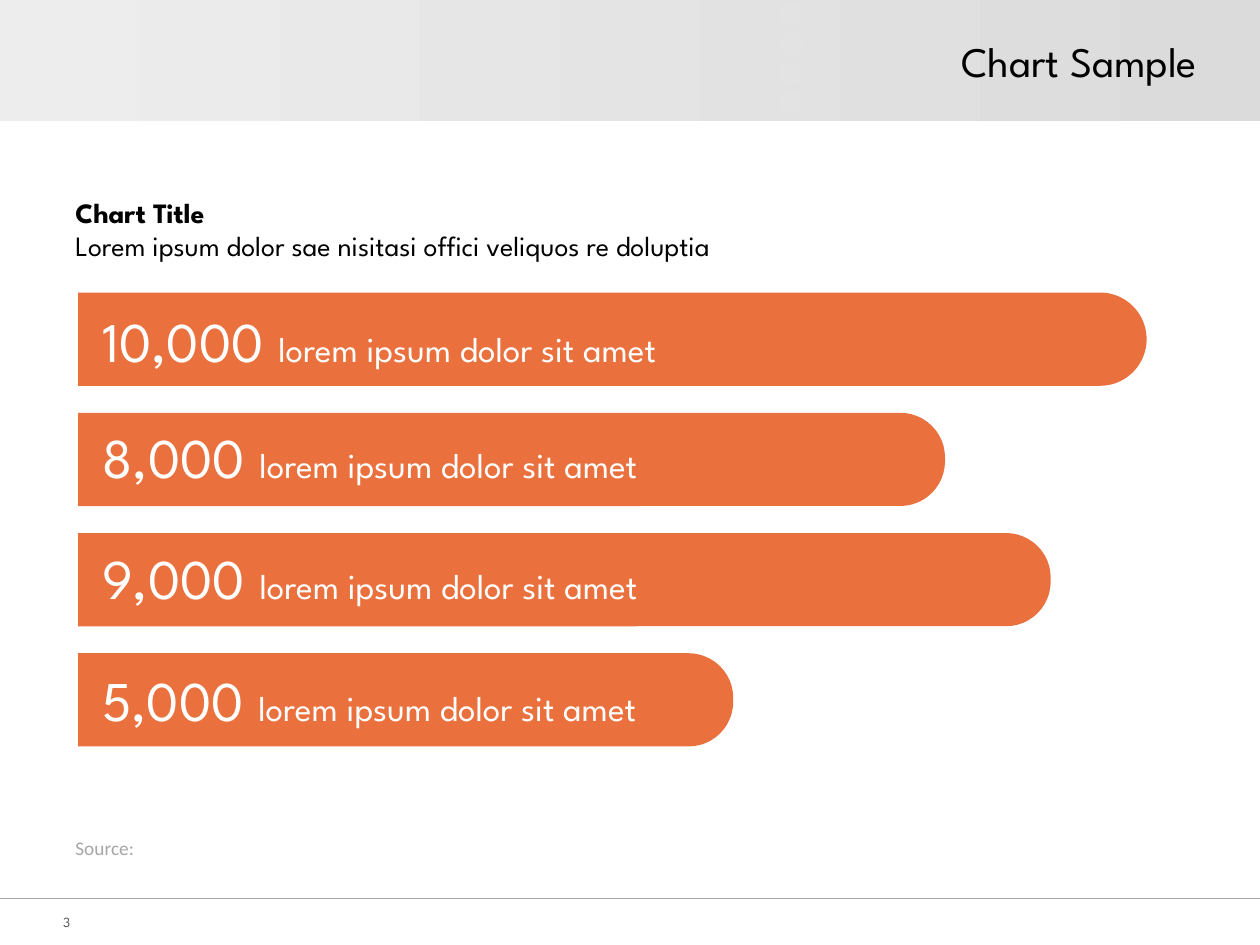
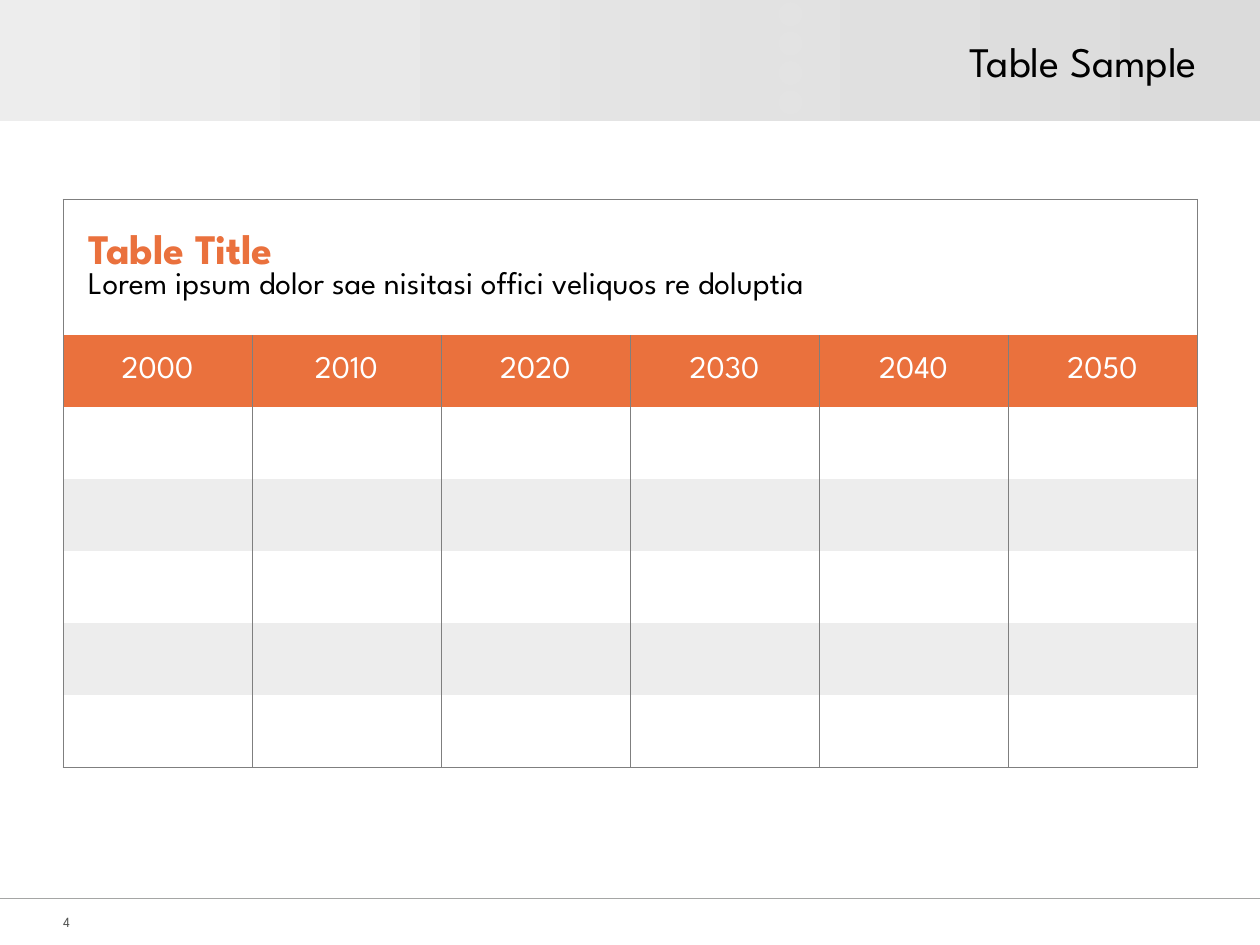
import pptx
import pptx.dml.color
import pptx.enum.dml
import pptx.enum.shapes
import pptx.enum.text
import pptx.oxml
import pptx.oxml.ns
import pptx.util

Pt = pptx.util.Pt
SHAPE = pptx.enum.shapes.MSO_SHAPE
ALIGN = pptx.enum.text.PP_ALIGN
MIDDLE = pptx.enum.text.MSO_ANCHOR.MIDDLE
GROW = pptx.enum.text.MSO_AUTO_SIZE.SHAPE_TO_FIT_TEXT

WIDTH, HEIGHT = 720, 540
BAND_HEIGHT, FOOTER_TOP, MARGIN = 69.1, 513.4, 36
ORANGE, WHITE, BLACK, PALE = "EA713D", "FFFFFF", "000000", "EDEDED"
BAND_DARK, RULE, NUMBER, BORDER = "DBDBDB", "A5A6A5", "525352", "7F7F7F"
SIDES = ("left", "top", "right", "bottom")
LOREM = "Lorem ipsum dolor sae nisitasi offici veliquos re doluptia"

# Frame formats
FLUSH = {"vertical_anchor": MIDDLE, **{f"margin_{side}": 0 for side in SIDES}}
FLUSH_GROW = {**FLUSH, "auto_size": GROW}
CELL = {"vertical_anchor": MIDDLE, "margin_left": Pt(14.4), "margin_right": Pt(14.4)}


def rgb(value):
    return pptx.dml.color.RGBColor.from_string(value)


def apply(target, formats):
    for name, value in formats.items():
        setattr(target, name, value)


def run(text, size, color=BLACK, bold=False, font="League Spartan"):
    return text, color, {"size": Pt(size), "bold": bold, "name": font}


class Deck:
    """Holds the presentation, its shared style and the current slide."""

    def __init__(self):
        self.show = pptx.Presentation()
        apply(self.show, {"slide_width": Pt(WIDTH), "slide_height": Pt(HEIGHT)})
        self.slide = None

    def new_slide(self, title, number):
        self.slide = self.show.slides.add_slide(self.show.slide_layouts[6])
        self.band()
        self.rule(FOOTER_TOP)
        self.text((183.6, 0, 500.4, BAND_HEIGHT), [[run(title, 24)]],
                  FLUSH, {"alignment": ALIGN.RIGHT})
        self.text((MARGIN, FOOTER_TOP, 168, HEIGHT - FOOTER_TOP),
                  [[run(number, 8, NUMBER)]], FLUSH)

    def band(self):
        band = self.shape(SHAPE.RECTANGLE, (0, 0, WIDTH, BAND_HEIGHT), BAND_DARK)
        band.fill.gradient()
        band.fill.gradient_angle = 180
        for stop, color in zip(band.fill.gradient_stops, (BAND_DARK, PALE)):
            stop.color.rgb = rgb(color)
        for row in range(4):
            self.shape(SHAPE.OVAL, (445, 1.4 + 16.8 * row, 13.5, 13.5), WHITE, 6)

    def shape(self, kind, at, color, opacity=100):
        shape = self.slide.shapes.add_shape(kind, *map(Pt, at))
        shape.shadow.inherit = False
        shape.line.fill.background()
        shape.fill.solid()
        shape.fill.fore_color.rgb = rgb(color)
        if opacity < 100:
            solid = shape.fill._xPr.find(pptx.oxml.ns.qn("a:solidFill"))
            solid[0].append(pptx.oxml.parse_xml(
                f'<a:alpha {pptx.oxml.ns.nsdecls("a")} val="{opacity * 1000}"/>'))
        return shape

    def rule(self, y):
        rule = self.slide.shapes.add_connector(
            pptx.enum.shapes.MSO_CONNECTOR.STRAIGHT, 0, Pt(y), Pt(WIDTH), Pt(y))
        rule.line.color.rgb = rgb(RULE)
        rule.line.width = Pt(1)
        rule._element.spPr.append(pptx.oxml.parse_xml(
            f'<a:effectLst {pptx.oxml.ns.nsdecls("a")}/>'))

    def bar(self, left, top, length, thickness, rounding):
        # The rounded end is the top of an upright shape turned a quarter
        upright = (left + (length - thickness) / 2,
                   top + (thickness - length) / 2, thickness, length)
        bar = self.shape(SHAPE.ROUND_2_SAME_RECTANGLE, upright, ORANGE)
        bar.rotation = 90
        bar.adjustments[0] = rounding
        bar.adjustments[1] = 0

    def fill_text(self, frame, paragraphs, formats):
        for index, runs in enumerate(paragraphs):
            line = frame.add_paragraph() if index else frame.paragraphs[0]
            apply(line, formats)
            for text, color, font in runs:
                piece = line.add_run()
                piece.text = text
                apply(piece.font, font)
                piece.font.color.rgb = rgb(color)

    def text(self, at, paragraphs, frame_formats, line_formats={}):
        frame = self.slide.shapes.add_textbox(*map(Pt, at)).text_frame
        apply(frame, {"word_wrap": True, **frame_formats})
        self.fill_text(frame, paragraphs, line_formats)

    def table(self, at, heights, columns):
        left, top, width = at
        grid = self.slide.shapes.add_table(
            len(heights), columns, *map(Pt, (left, top, width, sum(heights)))).table
        apply(grid, {"first_row": False, "horz_banding": False})
        for row, height in zip(grid.rows, heights):
            row.height = Pt(height)
        return grid

    def cell(self, cell, color, borders, paragraphs=(), line_formats={}):
        apply(cell, CELL)
        cell.fill.solid()
        cell.fill.fore_color.rgb = rgb(color)
        self.fill_text(cell.text_frame, paragraphs, line_formats)
        properties = cell._tc.get_or_add_tcPr()
        for index, side in enumerate("LRTB"):
            paint = (f'<a:solidFill><a:srgbClr val="{BORDER}"/></a:solidFill>'
                     if side in borders else "<a:noFill/>")
            properties.insert(index, pptx.oxml.parse_xml(
                f'<a:ln{side} {pptx.oxml.ns.nsdecls("a")} w="{Pt(0.5)}">'
                f"{paint}</a:ln{side}>"))


def chart_slide(deck):
    deck.new_slide("Chart Sample", "3")

    # Bars: value, length, rounding, label top, label width
    bars = [("10,000", 610.6, 0.5, 175, 507.6),
            ("8,000", 495.4, 0.48, 241.2, 507.6),
            ("9,000", 555.8, 0.48, 310.3, 507.6),
            ("5,000", 374.4, 0.48, 380.2, 350)]
    for index, (_, length, rounding, _, _) in enumerate(bars):
        deck.bar(44.6, 167.2 + 68.7 * index, length, 53.3, rounding)

    # Heading and source
    deck.text((MARGIN, 108, 651, 46),
              [[run("Chart Title", 16, bold=True)], [run(LOREM, 16)]],
              {"auto_size": GROW})
    deck.text((MARGIN, 474.5, 516, 20.9),
              [[run("Source:", 11, RULE, font="Calibri")]], {"auto_size": GROW})

    # Bar labels
    for value, _, _, top, width in bars:
        deck.text((58.3, top, width, 38.9),
                  [[run(value + " ", 32, WHITE),
                    run("lorem ipsum dolor sit amet", 20, WHITE)]], FLUSH_GROW)


def table_slide(deck):
    deck.new_slide("Table Sample", "4")
    years = range(2000, 2051, 10)
    heights = [77.8] + [41.15] * 6
    grid = deck.table((MARGIN, 113.8, 648), heights, len(years))

    # Heading row
    heading = grid.cell(0, 0)
    heading.merge(grid.cell(0, len(years) - 1))
    for column in range(1, len(years)):
        deck.cell(grid.cell(0, column), WHITE, "LRT")
    deck.cell(heading, WHITE, "LRT",
              [[run("Table Title", 24, ORANGE, True)], [run(LOREM, 18)]])
    heading.text_frame.paragraphs[1].line_spacing = 0.9

    # Year row and striped body
    last = len(heights) - 1
    for column, year in enumerate(years):
        deck.cell(grid.cell(1, column), ORANGE, "LR",
                  [[run(str(year), 18, WHITE)]], {"alignment": ALIGN.CENTER})
        for row in range(2, last + 1):
            deck.cell(grid.cell(row, column), PALE if row % 2 else WHITE,
                      "LRB" if row == last else "LR")


def main():
    deck = Deck()
    chart_slide(deck)
    table_slide(deck)
    deck.show.save("out.pptx")


if __name__ == "__main__":
    main()
